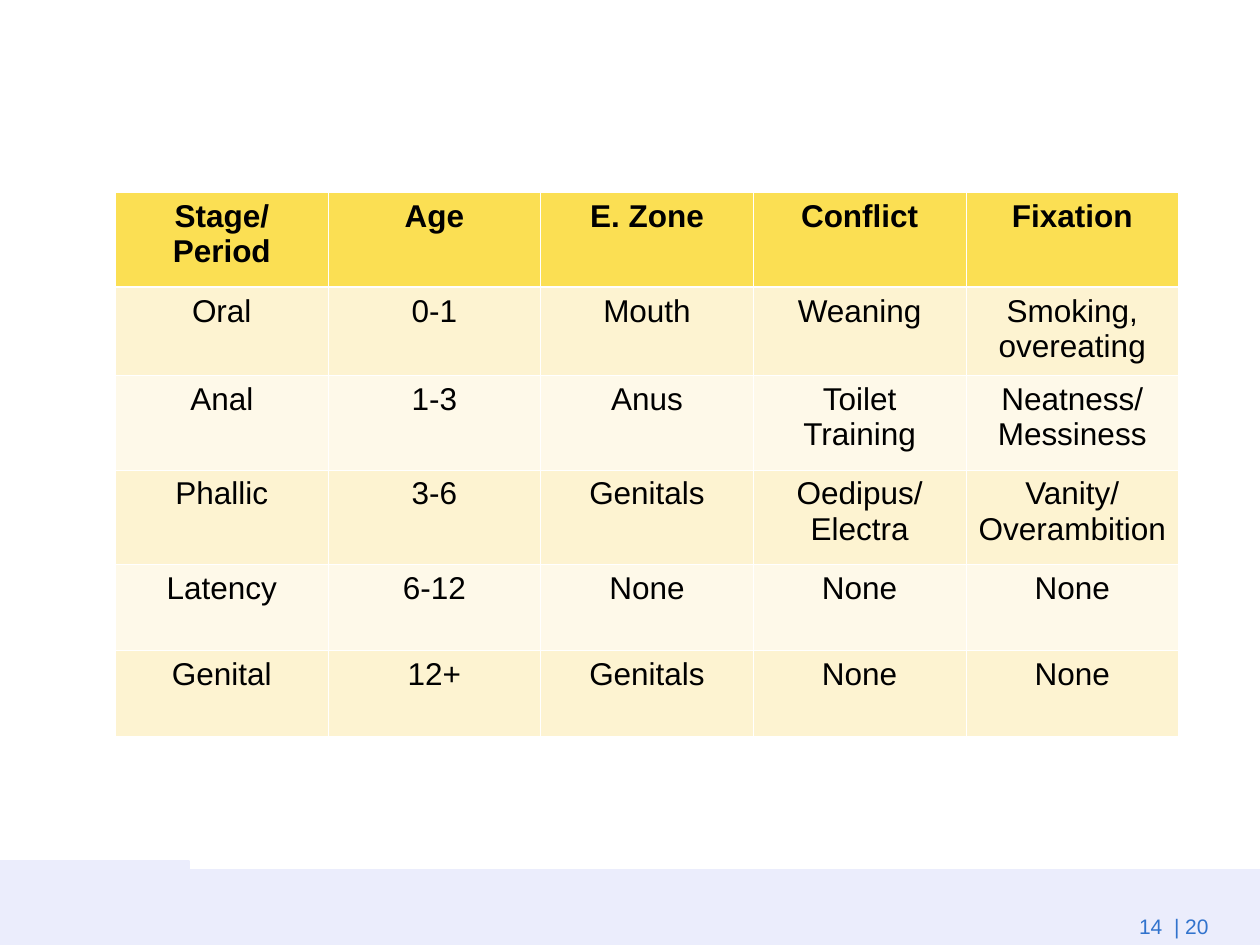
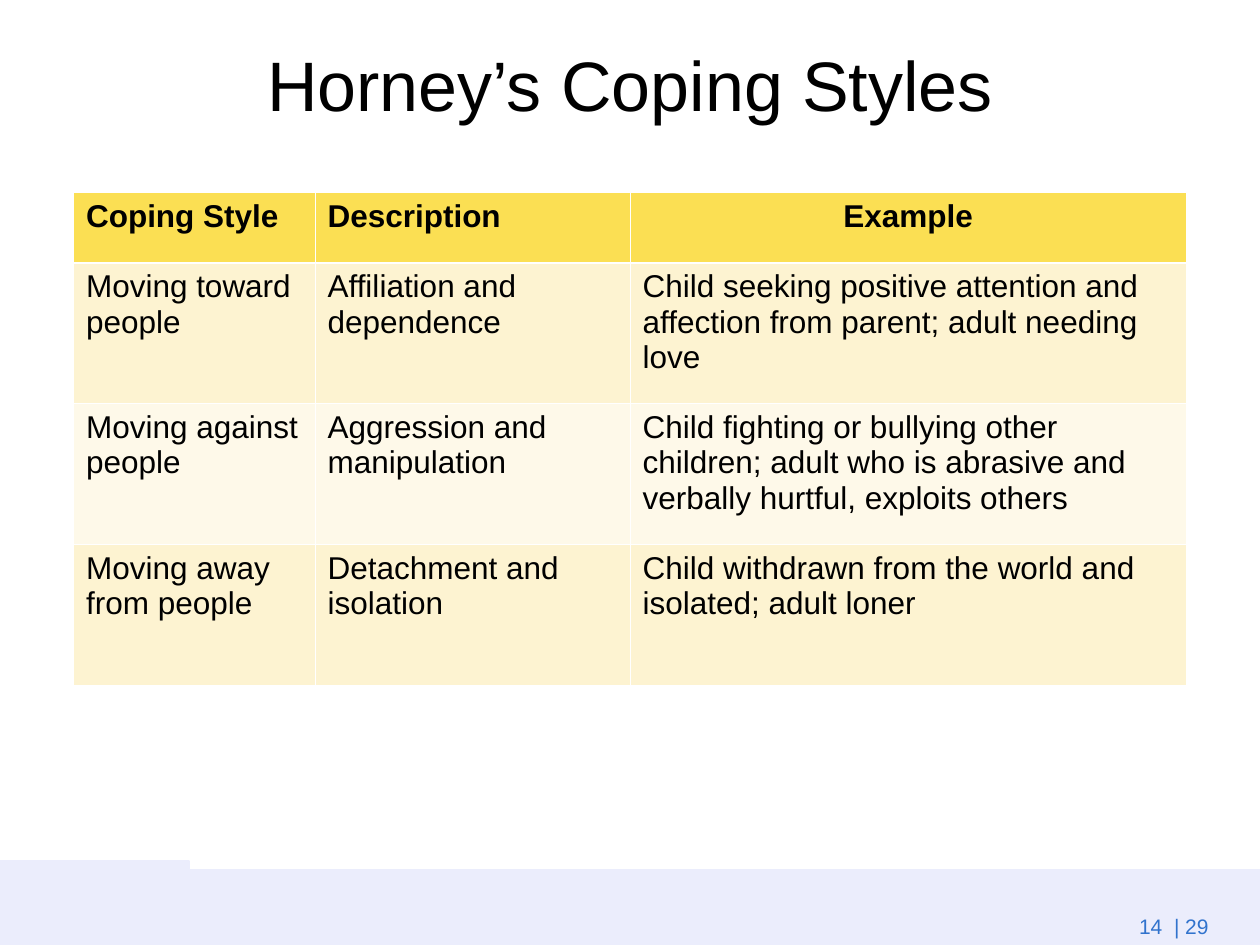
from lxml.etree import SubElement
from pptx import Presentation
from pptx.dml.color import RGBColor
from pptx.enum.shapes import MSO_SHAPE as SHAPE
from pptx.enum.text import MSO_ANCHOR as ANCHOR, PP_ALIGN as ALIGN
from pptx.oxml.ns import qn
from pptx.util import Inches, Pt

# The slide is a grid of 120 columns by 90 rows, 12 to the inch.
COLS, ROWS = 120, 90
FONT = "Arial"
BLACK, WHITE, BLUE, BAND = "000000", "FFFFFF", "3173CD", "EBEDFC"
HEADER, STRIPES = "FBDF53", ("FDF3D1", "FEF9E9")
THIN, THICK = 0.45, 1.47
TABLE_TOP = 18.35
BANDS = [(0, 82, 18, 8), (17, 82.8, 103, 7.2)]

STAGES = [
    ["Stage/Period", "Age", "E. Zone", "Conflict", "Fixation"],
    ["Oral", "0-1", "Mouth", "Weaning", "Smoking, overeating"],
    ["Anal", "1-3", "Anus", "Toilet Training", "Neatness/Messiness"],
    ["Phallic", "3-6", "Genitals", "Oedipus/Electra", "Vanity/Overambition"],
    ["Latency", "6-12", "None", "None", "None"],
    ["Genital", "12+", "Genitals", "None", "None"],
]
COPING_STYLES = [
    ["Coping Style", "Description", "Example"],
    ["Moving toward people", "Affiliation and dependence",
     "Child seeking positive attention and affection from parent; adult needing love"],
    ["Moving against people", "Aggression and manipulation",
     "Child fighting or bullying other children; adult who is abrasive "
     "and verbally hurtful, exploits others"],
    ["Moving away from people", "Detachment and isolation",
     "Child withdrawn from the world and isolated; adult loner"],
]


def color(value):
    return RGBColor.from_string(value)


def grid(*cells):
    return [Inches(c / 12) for c in cells]


def write(tf, text, size, text_color=BLACK, bold=False, align=ALIGN.LEFT):
    p = tf.paragraphs[0]
    p.alignment = align
    r = p.add_run()
    r.text = text
    for name, value in dict(name=FONT, size=Pt(size), bold=bold).items():
        setattr(r.font, name, value)
    r.font.color.rgb = color(text_color)
    return p


def add_footer(s, number):
    for box in BANDS:
        sp = s.shapes.add_shape(SHAPE.RECTANGLE, *grid(*box))
        sp.shadow.inherit = False
        sp.fill.solid()
        sp.fill.fore_color.rgb = sp.line.color.rgb = color(BAND)
        sp.line.width = Pt(0.75)
    tf = s.shapes.add_textbox(*grid(107.3, 86.4, 16, 3.6)).text_frame
    tf.word_wrap = False
    write(tf, f"14  | {number}", 12, BLUE)


def add_title(s, text):
    sp = s.shapes.title
    sp.left, sp.top, sp.width, sp.height = grid(6, 1, 108, 15)
    sp.text_frame.vertical_anchor = ANCHOR.MIDDLE
    write(sp.text_frame, text, 40, align=ALIGN.CENTER).line_spacing = 0.9


def add_borders(cell, row):
    """White rules, with a thicker one between header and body."""
    widths = dict(lnL=THIN, lnR=THIN,
                  lnT=THICK if row == 1 else THIN,
                  lnB=THICK if row == 0 else THIN)
    tc_pr = cell._tc.get_or_add_tcPr()
    for tag, width in widths.items():
        ln = SubElement(tc_pr, qn(f"a:{tag}"), w=str(Pt(width)))
        SubElement(SubElement(ln, qn("a:solidFill")), qn("a:srgbClr"), val=WHITE)


def add_table(s, left, widths, heights, rows, is_centered):
    """is_centered(row, column) tells which cells are centred."""
    box = grid(left, TABLE_TOP, sum(widths), sum(heights))
    table = s.shapes.add_table(len(rows), len(widths), *box).table
    table.horz_banding = False
    for column, width in zip(table.columns, grid(*widths)):
        column.width = width
    for row, height in zip(table.rows, grid(*heights)):
        row.height = height
    for i, texts in enumerate(rows):
        for j, text in enumerate(texts):
            cell = table.cell(i, j)
            add_borders(cell, i)
            cell.fill.solid()
            cell.fill.fore_color.rgb = color(STRIPES[(i - 1) % 2] if i else HEADER)
            write(cell.text_frame, text, 18, bold=i == 0,
                  align=ALIGN.CENTER if is_centered(i, j) else ALIGN.LEFT)


def main():
    prs = Presentation()
    prs.slide_width, prs.slide_height = grid(COLS, ROWS)
    title_only, blank = prs.slide_layouts[5], prs.slide_layouts[6]

    s = prs.slides.add_slide(blank)
    add_footer(s, 20)
    add_table(s, 11, [20.25] * 5, [9, 8.4, 9, 9, 8.2, 8.2], STAGES,
              lambda i, j: True)

    s = prs.slides.add_slide(title_only)
    add_footer(s, 29)
    add_title(s, "Horney’s Coping Styles")
    add_table(s, 7, [23, 30, 53], [6.7] + [13.4] * 3, COPING_STYLES,
              lambda i, j: (i, j) == (0, 2))

    prs.save("out.pptx")


if __name__ == "__main__":
    main()
